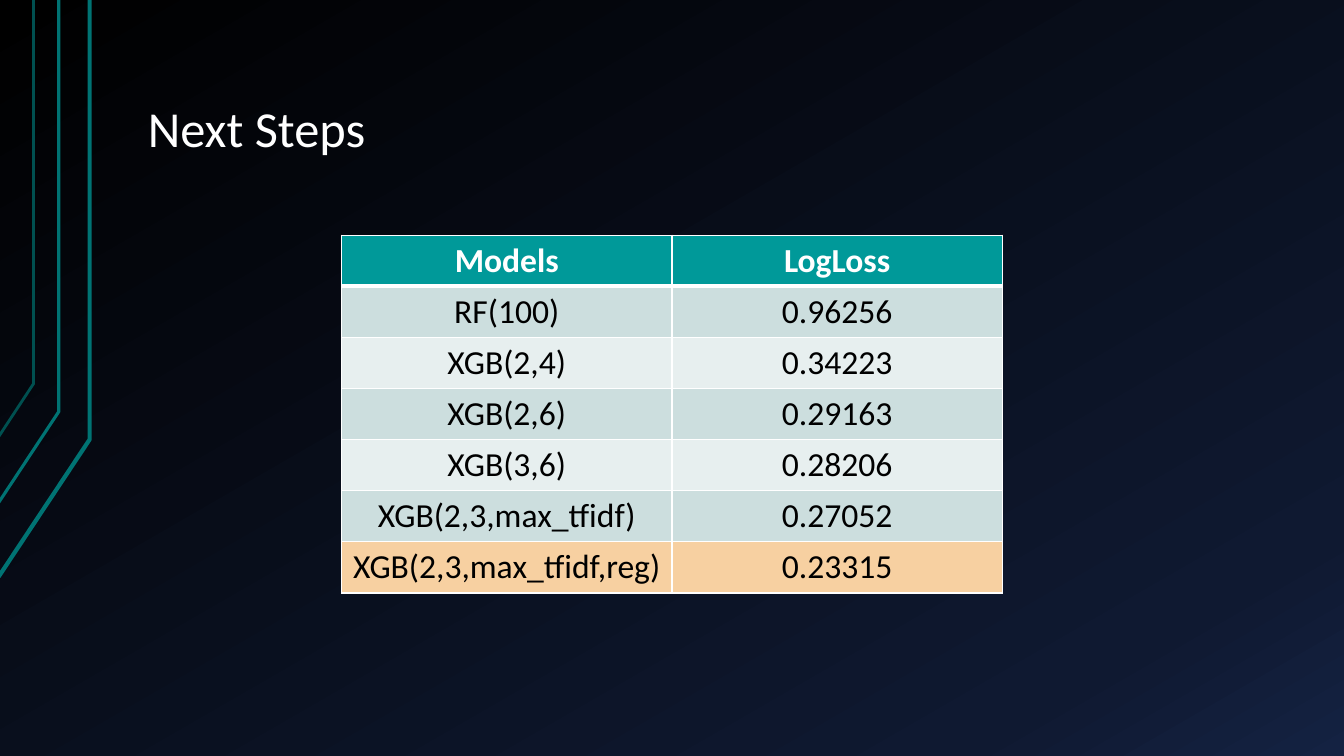
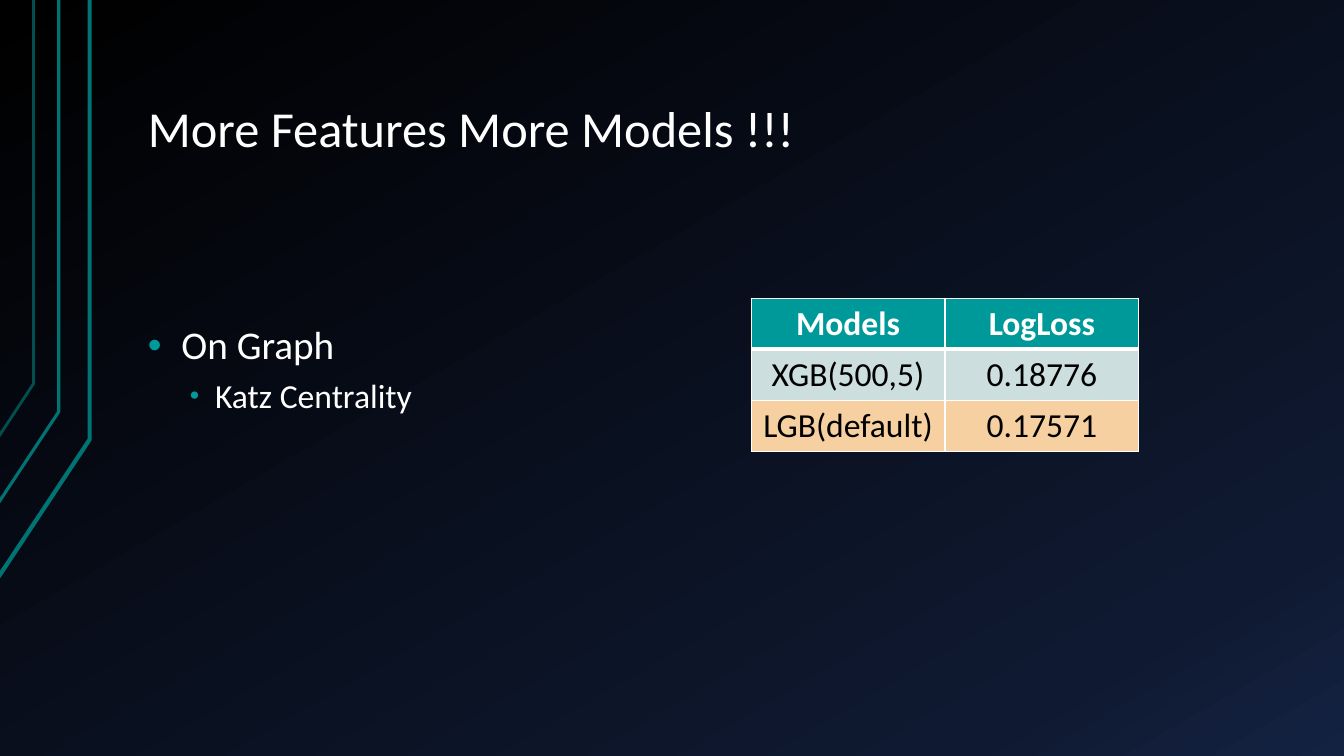
"""Build two dark slides comparing model log losses."""
import pptx
import pptx.dml.color
import pptx.enum.text
import pptx.oxml
import pptx.oxml.ns
import pptx.util

Pt = pptx.util.Pt
RGBColor = pptx.dml.color.RGBColor
ALIGN = pptx.enum.text.PP_ALIGN
ANCHOR = pptx.enum.text.MSO_ANCHOR

FONT = "Calibri"
WHITE = RGBColor(0xFF, 0xFF, 0xFF)
BLACK = RGBColor(0, 0, 0)
TEAL = RGBColor(0x00, 0x99, 0x99)
LINE_TEAL = RGBColor(0x00, 0x73, 0x73)
LINE_DIM = RGBColor(0x00, 0x50, 0x50)
BAND_DARK = RGBColor(0xCC, 0xDE, 0xDE)
BAND_LIGHT = RGBColor(0xE7, 0xEF, 0xEF)
BEST = RGBColor(0xF7, 0xD0, 0xA1)
NIGHT = RGBColor(0x0F, 0x19, 0x31)
NAVY = RGBColor(0x14, 0x22, 0x42)

STOPS = ((0, BLACK), (85, NIGHT), (100, NAVY))
ROW_HEIGHT = 36.5
HEADER = ("Models", "LogLoss")
STEPS = (
    ("RF(100)", "0.96256"),
    ("XGB(2,4)", "0.34223"),
    ("XGB(2,6)", "0.29163"),
    ("XGB(3,6)", "0.28206"),
    ("XGB(2,3,max_tfidf)", "0.27052"),
    ("XGB(2,3,max_tfidf,reg)", "0.23315"),
)
MORE_MODELS = (("XGB(500,5)", "0.18776"), ("LGB(default)", "0.17571"))
CIRCUIT = (
    (63.5, 313.5, 412, 3, LINE_TEAL),
    (42, 294, 359, 2.25, LINE_TEAL),
    (24.5, 274.5, 312.5, 2, LINE_DIM),
)


def xml(tag, body="", attrs=""):
    """Return a drawing element."""
    ns = pptx.oxml.ns.nsdecls("a")
    return pptx.oxml.parse_xml(f"<a:{tag} {ns} {attrs}>{body}</a:{tag}>")


def color_xml(color):
    """Return the markup of a colour."""
    return f'<a:srgbClr val="{color}"/>'


def place(sp, left, top, width, height):
    """Set the position and size of a shape."""
    sp.left, sp.top, sp.width, sp.height = map(Pt, (left, top, width, height))


def add_run(p, text, size, color=WHITE, bold=False):
    """Add a formatted run to a paragraph."""
    r = p.add_run()
    r.text = text
    r.font.name = FONT
    r.font.size = Pt(size)
    r.font.bold = bold
    r.font.color.rgb = color


def set_frame(tf, anchor):
    """Set the anchor and insets of a text frame."""
    tf.auto_size = pptx.enum.text.MSO_AUTO_SIZE.NONE
    tf.vertical_anchor = anchor
    tf.margin_left = tf.margin_right = Pt(9.6)
    tf.margin_top = tf.margin_bottom = Pt(4.8)


def style_master(master):
    """Set the background and the placeholders that the slides share."""
    stops = "".join(f'<a:gs pos="{pos * 1000}">{color_xml(color)}</a:gs>' for pos, color in STOPS)
    gradient = xml("gradFill", f'<a:gsLst>{stops}</a:gsLst><a:lin ang="3600000" scaled="0"/>')
    master.background.fill.solid()
    bg = master.element.xpath(".//p:bgPr")[0]
    bg.replace(bg[0], gradient)
    title, body = list(master.placeholders)[:2]
    place(title, 96, 21.6, 816, 96.5)
    set_frame(title.text_frame, ANCHOR.BOTTOM)
    place(body, 96, 228, 816, 184)
    set_frame(body.text_frame, ANCHOR.TOP)


def add_circuit(s, master):
    """Draw the corner lines on a slide and move them to the master."""
    tree = master.shapes._spTree
    for i, (x, bend, foot, width, color) in enumerate(CIRCUIT):
        builder = s.shapes.build_freeform(-1, foot, scale=Pt(1))
        builder.add_line_segments([(x, bend), (x, 0)], close=False)
        sp = builder.convert_to_shape()
        sp.name = f"Circuit line {i + 1}"
        sp.shadow.inherit = False
        sp.fill.background()
        sp.line.color.rgb = color
        sp.line.width = Pt(width)
        sp._element.nvSpPr.cNvPr.set("id", str(20 + i))
        tree.insert(2 + i, sp._element)


def add_slide(prs, layout, title):
    """Add a slide with its title."""
    s = prs.slides.add_slide(prs.slide_layouts.get_by_name(layout))
    p = s.shapes.title.text_frame.paragraphs[0]
    p.alignment = ALIGN.LEFT
    p.line_spacing = 0.9
    add_run(p, title, 36)
    return s


def set_borders(cell, top, bottom):
    """Draw white borders around a table cell."""
    tc_pr = cell._tc.get_or_add_tcPr()
    for i, (side, width) in enumerate((("L", 1), ("R", 1), ("T", top), ("B", bottom))):
        fill = f"<a:solidFill>{color_xml(WHITE)}</a:solidFill>"
        tc_pr.insert(i, xml(f"ln{side}", fill, f'w="{Pt(width)}"'))


def row_fill(i, last):
    """Return the fill of a table row."""
    if i == 0:
        return TEAL
    if i == last:
        return BEST
    return BAND_DARK if i % 2 else BAND_LIGHT


def add_scores(s, scores, left, top, col_width):
    """Add a table of model scores with the last row highlighted."""
    rows = (HEADER, *scores)
    frame = s.shapes.add_table(len(rows), len(HEADER), Pt(left), Pt(top),
                               Pt(col_width * len(HEADER)), Pt(ROW_HEIGHT * len(rows)))
    table = frame.table
    for i, row in enumerate(rows):
        table.rows[i].height = Pt(ROW_HEIGHT)
        for j, text in enumerate(row):
            cell = table.cell(i, j)
            cell.fill.solid()
            cell.fill.fore_color.rgb = row_fill(i, len(scores))
            set_borders(cell, 3 if i == 1 else 1, 3 if i == 0 else 1)
            p = cell.text_frame.paragraphs[0]
            p.alignment = ALIGN.CENTER
            add_run(p, text, 24, BLACK if i else WHITE, bold=i == 0)


def add_bullet(p, text, level, size, indent, hang, before, bullet_size):
    """Fill a paragraph as a list item with a teal bullet."""
    p.level = level
    p.line_spacing = 0.9
    p.space_before = Pt(before)
    p_pr = p._p.get_or_add_pPr()
    p_pr.set("marL", str(Pt(indent)))
    p_pr.set("indent", str(Pt(-hang)))
    p_pr.append(xml("buClr", color_xml(TEAL)))
    p_pr.append(xml("buSzPct", attrs=f'val="{bullet_size * 1000}"'))
    p_pr.append(xml("buFont", attrs='typeface="Arial"'))
    p_pr.append(xml("buChar", attrs='char="•"'))
    add_run(p, text, size)


def main():
    """Build and save the presentation."""
    prs = pptx.Presentation()
    prs.slide_width, prs.slide_height = Pt(960), Pt(540)
    master = prs.slide_master
    style_master(master)

    s = add_slide(prs, "Title Only", "Next Steps")
    add_circuit(s, master)
    add_scores(s, STEPS, 244, 168, 236)

    s = add_slide(prs, "Title and Content", "More Features More Models !!!")
    tf = s.placeholders[1].text_frame
    add_bullet(tf.paragraphs[0], "On Graph", 0, 28, 24, 24, 0, 100)
    add_bullet(tf.add_paragraph(), "Katz Centrality", 1, 24, 48, 18, 8, 80)
    add_scores(s, MORE_MODELS, 536.5, 213, 138.5)

    prs.save("out.pptx")


if __name__ == "__main__":
    main()
